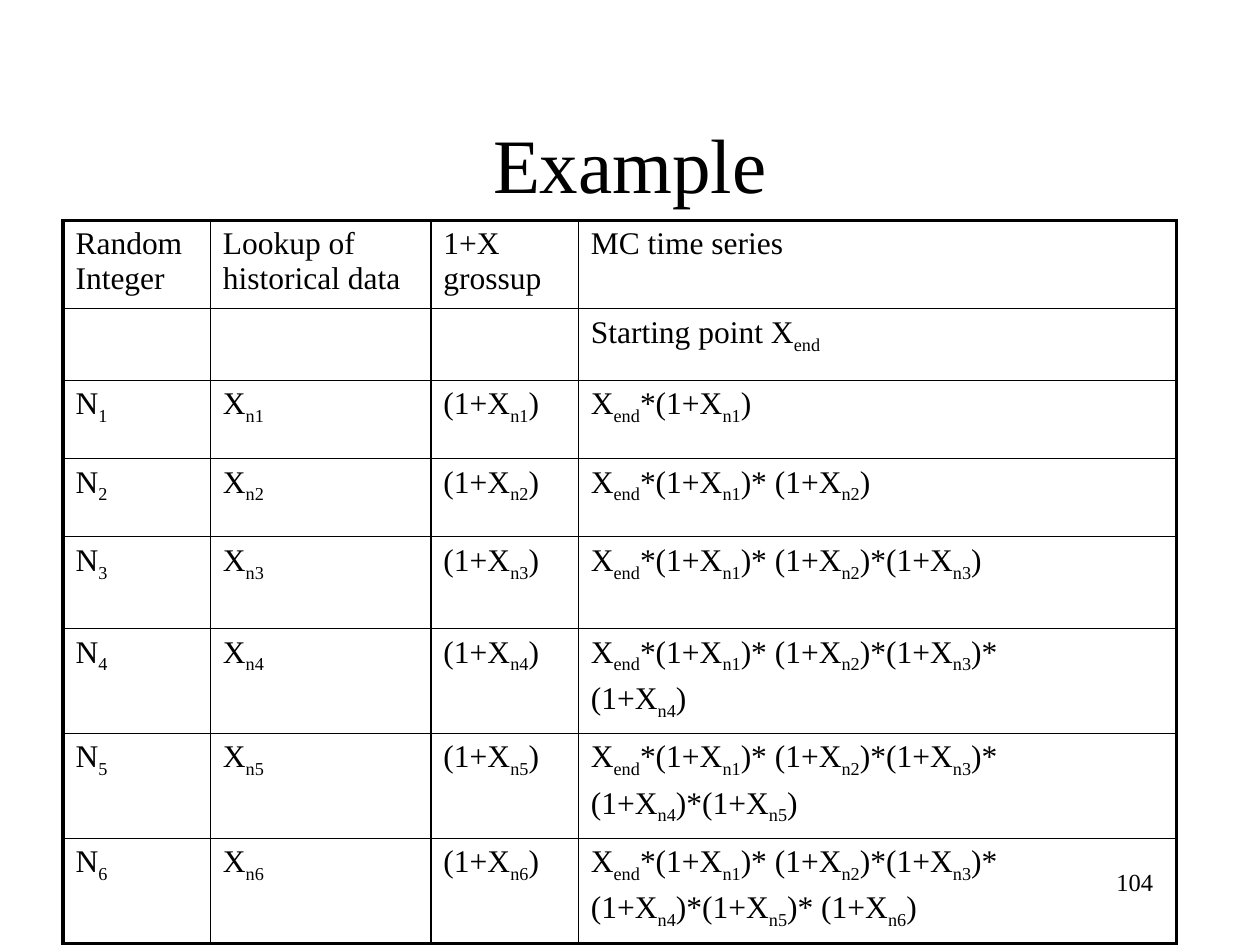
from lxml import etree
from pptx import Presentation
from pptx.dml.color import RGBColor
from pptx.enum.text import MSO_ANCHOR, PP_ALIGN
from pptx.oxml.ns import qn
from pptx.util import Inches, Pt

CENTER, LEFT, RIGHT = PP_ALIGN.CENTER, PP_ALIGN.LEFT, PP_ALIGN.RIGHT
MIDDLE = MSO_ANCHOR.MIDDLE
TITLE_ONLY = 5
COLORS = {"ink": "000000"}
THICK, THIN = 2.25, 1

COL_WIDTHS = [1.17, 1.75, 1.17, 4.75]
ROW_HEIGHTS = [0.66, 0.57, 0.62, 0.62, 0.73, 0.78, 0.78, 0.78]
HEADER = ["Random Integer", "Lookup of historical data", "1+X grossup", "MC time series"]
JOINERS = ["*", "* ", "*", "*\n", "*", "* "]


def series_rows():
    """Table rows, with subscripts in square brackets."""
    rows = [HEADER, ["", "", "", "Starting point X[end]"]]
    product = "X[end]"
    for n, joiner in enumerate(JOINERS, 1):
        factor = f"(1+X[n{n}])"
        product += joiner + factor
        rows.append([f"N[{n}]", f"X[n{n}]", factor, product])
    return rows


class SlideBuilder:
    font = "Times New Roman"

    def __init__(self, prs):
        self.slide = prs.slides.add_slide(prs.slide_layouts[TITLE_ONLY])

    def style(self, p, size, align):
        p.alignment = align
        for r in p.runs:
            r.font.name = self.font
            r.font.size = Pt(size)
            r.font.color.rgb = RGBColor.from_string(COLORS["ink"])

    def title(self, text, x, y, w, h):
        sp = self.slide.shapes.title
        sp.left, sp.top, sp.width, sp.height = map(Inches, (x, y, w, h))
        tf = sp.text_frame
        tf.text = text
        tf.vertical_anchor = MIDDLE
        self.style(tf.paragraphs[0], 44, CENTER)

    def page_number(self, text, x, y, w, h):
        sp = self.slide.shapes.add_textbox(*map(Inches, (x, y, w, h)))
        tf = sp.text_frame
        tf.word_wrap = True
        tf.text = text
        self.style(tf.paragraphs[0], 14, RIGHT)

    def formula(self, tf, text):
        """Write text, lowering the parts in square brackets."""
        for i, line in enumerate(text.split("\n")):
            p = tf.add_paragraph() if i else tf.paragraphs[0]
            if i:
                p.space_before = Pt(3.6)
            for j, part in enumerate(line.replace("]", "[").split("[")):
                if part:
                    r = p.add_run()
                    r.text = part
                    if j % 2:
                        r.font._element.set("baseline", "-25000")
            self.style(p, 18, LEFT)

    def border(self, cell, side, width):
        tc_pr = cell._tc.get_or_add_tcPr()
        ln = etree.SubElement(tc_pr, qn(f"a:ln{side}"), w=str(Pt(width)))
        fill = etree.SubElement(ln, qn("a:solidFill"))
        etree.SubElement(fill, qn("a:srgbClr"), val=COLORS["ink"])

    def table(self, rows, x, y, col_widths, row_heights):
        last_row, last_col = len(rows) - 1, len(col_widths) - 1
        table = self.slide.shapes.add_table(
            len(rows), len(col_widths), Inches(x), Inches(y),
            Inches(sum(col_widths)), Inches(sum(row_heights))).table
        table.first_row = table.horz_banding = False
        for col, width in zip(table.columns, col_widths):
            col.width = Inches(width)
        for row, height in zip(table.rows, row_heights):
            row.height = Inches(height)
        for i, texts in enumerate(rows):
            for j, text in enumerate(texts):
                cell = table.cell(i, j)
                self.formula(cell.text_frame, text)
                outer = {"L": j == 0, "R": j == last_col, "T": i == 0, "B": i == last_row}
                for side, is_outer in outer.items():
                    self.border(cell, side, THICK if is_outer else THIN)
                cell.fill.background()


def main():
    prs = Presentation()
    prs.slide_width, prs.slide_height = Inches(10), Inches(7.5)
    s = SlideBuilder(prs)
    s.title("Example", 0.75, 0.67, 8.5, 1.25)
    s.page_number("104", 7.17, 6.83, 2.08, 0.5)
    s.table(series_rows(), 0.5, 1.75, COL_WIDTHS, ROW_HEIGHTS)
    prs.save("out.pptx")


if __name__ == "__main__":
    main()
